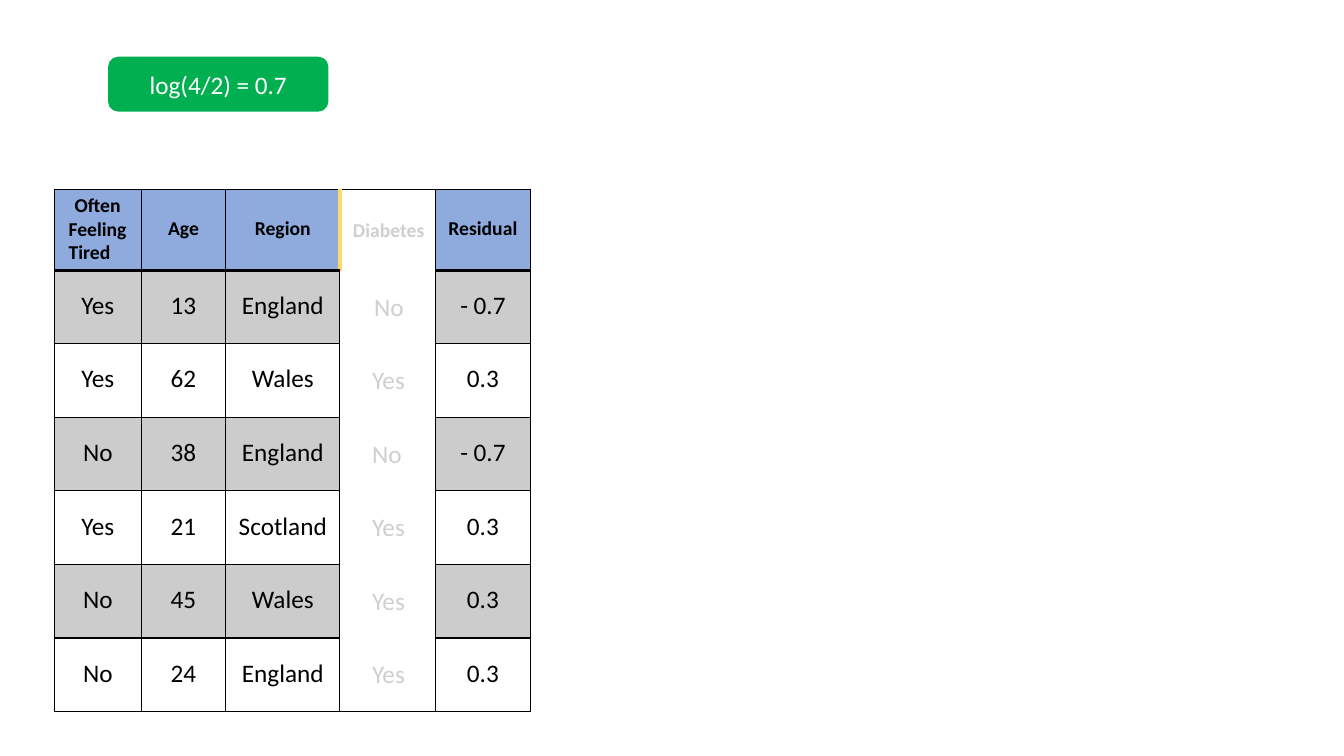
from typing import NamedTuple

from lxml import etree
from pptx import Presentation
from pptx.dml.color import RGBColor
from pptx.enum import shapes, text
from pptx.oxml.ns import qn
from pptx.util import Inches, Pt

COLOURS = {
    "ink": "000000",
    "paper": "FFFFFF",
    "header": "8FAADC",
    "highlight": "FFD966",
    "result": "00AF50",
}
FONT = "Calibri"
HEADERS = ("Often Feeling Tired", "Age", "Region", "", "Residual")
COLUMN_WIDTHS = (0.86, 0.84, 1.13, 0.95, 0.94)
HEADER_HEIGHT, ROW_HEIGHT = 0.8, 0.73
REGION, DIABETES = 2, 3
CENTER, JUSTIFY = text.PP_ALIGN.CENTER, text.PP_ALIGN.JUSTIFY


class Patient(NamedTuple):
    tired: str
    age: str
    region: str
    diabetes: str
    residual: str


class Border(NamedTuple):
    width: float
    colour: str = "ink"


PATIENTS = (
    Patient("Yes", "13", "England", "No", "- 0.7"),
    Patient("Yes", "62", "Wales", "Yes", "0.3"),
    Patient("No", "38", "England", "No", "- 0.7"),
    Patient("Yes", "21", "Scotland", "Yes", "0.3"),
    Patient("No", "45", "Wales", "Yes", "0.3"),
    Patient("No", "24", "England", "Yes", "0.3"),
)
THIN, RULE, ACCENT = Border(1), Border(2.25), Border(3, "highlight")


def rgb(name: str) -> RGBColor:
    return RGBColor.from_string(COLOURS[name])


def write(paragraph, words: str, *, size: float = 18, bold: bool = False,
          colour: str = "ink", align=CENTER, left: float = 0, first: float = 0,
          spacing=None, before: float = 0) -> None:
    """Fill a paragraph; left and first are its indents in inches."""
    if left:
        properties = paragraph._p.get_or_add_pPr()
        properties.set("marL", str(Inches(left)))
        properties.set("indent", str(Inches(first)))
    paragraph.alignment = align
    if spacing:
        paragraph.line_spacing = spacing
    if before:
        paragraph.space_before = Pt(before)
    run = paragraph.add_run()
    run.text = words
    run.font.name = FONT
    run.font.size = Pt(size)
    run.font.bold = bold
    run.font.color.rgb = rgb(colour)


def paint(fill, properties, colour: str, opacity: int = 100) -> None:
    """Set a solid fill; properties is the XML element that holds it."""
    fill.solid()
    fill.fore_color.rgb = rgb(colour)
    if opacity < 100:
        shade = properties.find(qn("a:solidFill"))[0]
        etree.SubElement(shade, qn("a:alpha")).set("val", str(opacity * 1000))


def add_borders(cell, **borders: Border | None) -> None:
    """Draw the sides L, R, T and B; a side that is None has no line."""
    properties = cell._tc.get_or_add_tcPr()
    for side in "LRTB":
        border = borders[side]
        line = etree.SubElement(properties, qn(f"a:ln{side}"))
        if border is None:
            etree.SubElement(line, qn("a:noFill"))
            continue
        line.set("w", str(Pt(border.width)))
        solid = etree.SubElement(line, qn("a:solidFill"))
        etree.SubElement(solid, qn("a:srgbClr")).set("val", COLOURS[border.colour])


def add_faded_diabetes(slide) -> None:
    box = slide.shapes.add_textbox(Inches(3.5), Inches(2.21), Inches(0.71), Inches(4.64))
    frame = box.text_frame
    frame.word_wrap = True
    frame.margin_left = frame.margin_right = frame.margin_top = frame.margin_bottom = 0
    write(frame.paragraphs[0], "Diabetes", size=14, bold=True,
          align=text.PP_ALIGN.LEFT, spacing=Pt(13.3))
    # The narrow box puts each answer on its own line.
    write(frame.add_paragraph(), " ".join(p.diabetes for p in PATIENTS),
          align=JUSTIFY, left=0.19, first=0.02, spacing=2.43, before=4.7)

    veil = slide.shapes.add_shape(shapes.MSO_SHAPE.RECTANGLE, Inches(3.4), Inches(1.89),
                                  Inches(0.93), Inches(5.17))
    veil.shadow.inherit = False
    veil.line.fill.background()
    paint(veil.fill, veil._element.spPr, "paper", 81)


def format_cell(cell, words: str, row: int, column: int) -> None:
    header, faded = row == 0, column == DIABETES
    bottom = RULE if header else THIN
    top = RULE if row == 1 else THIN
    if faded:
        top = THIN if header else None
        bottom = THIN if row == len(PATIENTS) else None
    add_borders(cell, T=top, B=bottom,
                L=ACCENT if header and faded else THIN,
                R=ACCENT if header and column == REGION else THIN)

    properties = cell._tc.tcPr
    if faded:
        cell.fill.background()
    elif header:
        paint(cell.fill, properties, "header")
    elif row % 2:
        paint(cell.fill, properties, "ink", 20)
    else:
        cell.fill.background()

    cell.margin_left = cell.margin_right = cell.margin_bottom = 0
    if header and column == 0:
        cell.margin_top = Inches(0.04)
        style = dict(size=14, bold=True, align=JUSTIFY, left=0.14, first=0.06)
    elif header:
        cell.margin_top = Inches(0.27)
        style = dict(size=14, bold=True)
    else:
        cell.margin_top = Inches(0.2)
        style = {}
    if words:
        write(cell.text_frame.paragraphs[0], words, **style)


def add_patient_table(slide) -> None:
    rows = [HEADERS, *(p._replace(diabetes="") for p in PATIENTS)]
    height = HEADER_HEIGHT + ROW_HEIGHT * len(PATIENTS)
    table = slide.shapes.add_table(len(rows), len(HEADERS), Inches(0.54), Inches(1.88),
                                   Inches(sum(COLUMN_WIDTHS)), Inches(height)).table
    table.first_row = table.horz_banding = False
    for column, width in zip(table.columns, COLUMN_WIDTHS):
        column.width = Inches(width)
    for r, words in enumerate(rows):
        table.rows[r].height = Inches(ROW_HEIGHT if r else HEADER_HEIGHT)
        for c, word in enumerate(words):
            format_cell(table.cell(r, c), word, r, c)


def add_log_odds(slide) -> None:
    pill = slide.shapes.add_shape(shapes.MSO_SHAPE.ROUNDED_RECTANGLE, Inches(1.08),
                                  Inches(0.57), Inches(2.17), Inches(0.53))
    pill.adjustments[0] = 0.17
    pill.shadow.inherit = False
    paint(pill.fill, pill._element.spPr, "result")
    pill.line.color.rgb = rgb("result")
    pill.line.width = Pt(1)
    pill.text_frame.vertical_anchor = text.MSO_ANCHOR.MIDDLE
    write(pill.text_frame.paragraphs[0], "log(4/2) = 0.7", colour="paper")


def main() -> None:
    deck = Presentation()
    deck.slide_width, deck.slide_height = Inches(13.33), Inches(7.5)
    slide = deck.slides.add_slide(deck.slide_layouts[6])
    add_faded_diabetes(slide)
    add_patient_table(slide)
    add_log_odds(slide)
    deck.save("out.pptx")


if __name__ == "__main__":
    main()
